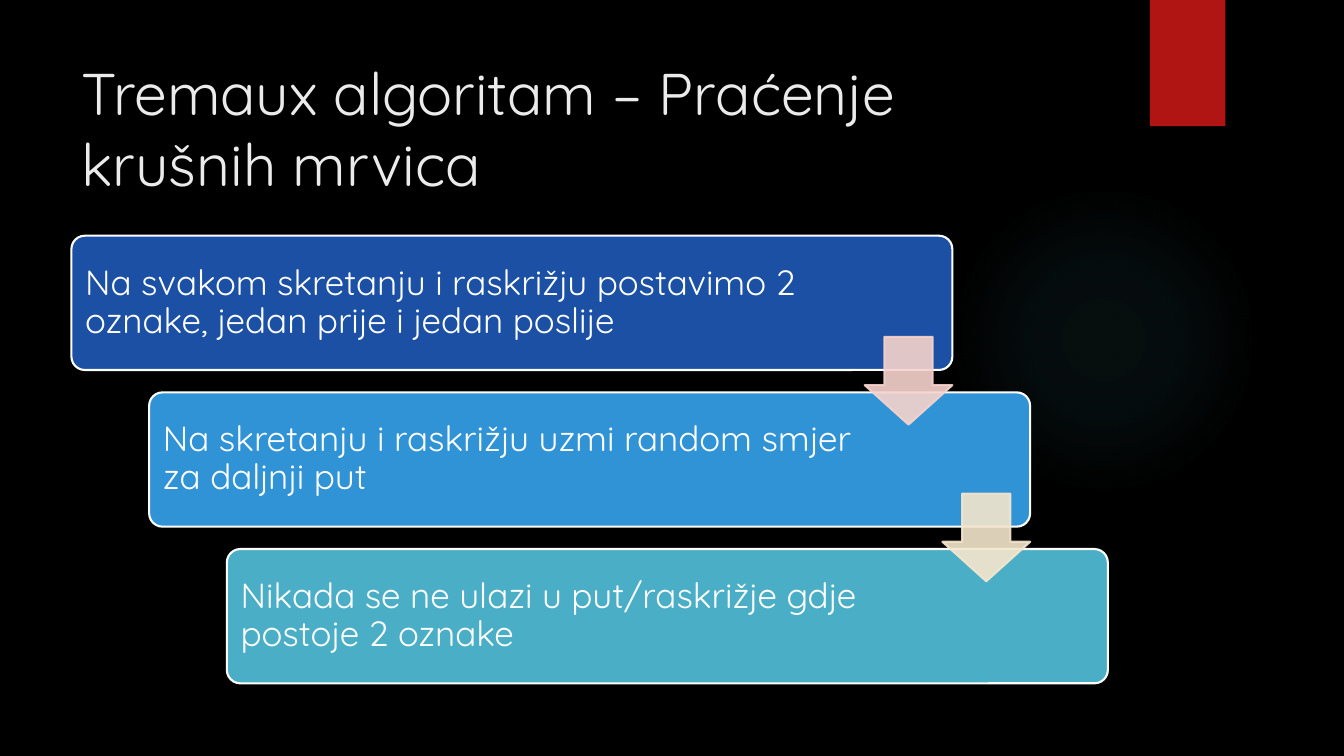
from lxml import etree
from pptx import Presentation
from pptx import util as u
from pptx.dml import color
from pptx.enum import shapes, text
from pptx.oxml import ns

FONT = "Quicksand"
KIND = shapes.MSO_SHAPE
# Wording, fill and right inset (cm) of each step
STEPS = [
    ("Na svakom skretanju i raskrižju postavimo 2 oznake, jedan prije i jedan poslije", "1B50A5", 3.68),
    ("Na skretanju i raskrižju uzmi random smjer za daljnji put", "3093D6", 4.4),
    ("Nikada se ne ulazi u put/raskrižje gdje postoje 2 oznake", "4AAEC6", 4.4),
]
ARROW_COLOURS = ["F7D3CC", "F5E6CD"]


def rgb(value):
    return color.RGBColor.from_string(value)


def add_part(page, kind, left, top, width, height, fill, line=None):
    part = page.shapes.add_shape(kind, u.Cm(left), u.Cm(top), u.Cm(width), u.Cm(height))
    part.shadow.inherit = False
    part.fill.solid()
    part.fill.fore_color.rgb = rgb(fill)
    if line:
        part.line.color.rgb = rgb(line)
        part.line.width = u.Pt(1.5)
    else:
        part.line.fill.background()
    return part


def write(frame, wording, size, colour):
    frame.word_wrap = True
    frame.vertical_anchor = text.MSO_ANCHOR.MIDDLE
    para = frame.paragraphs[0]
    para.text = wording
    para.alignment = text.PP_ALIGN.LEFT
    para.font.name = FONT
    para.font.size = u.Pt(size)
    para.font.color.rgb = rgb(colour)
    return para


def set_alpha(part, percent):
    for tone in part._element.spPr.iter(ns.qn("a:srgbClr")):
        etree.SubElement(tone, ns.qn("a:alpha"), val=str(percent * 1000))


def add_backdrop(page, left, top):
    # Faint round glow
    glow = add_part(page, KIND.OVAL, left, top + 4.65, 7.82, 7.82, "50B9C1")
    stops = "".join(
        f'<a:gs pos="{place * 1000}"><a:srgbClr val="50B9C1"><a:alpha val="{alpha * 1000}"/></a:srgbClr></a:gs>'
        for place, alpha in [(0, 7), (36, 6), (69, 0)])
    gradient = etree.fromstring(
        f'<a:gradFill {ns.nsdecls("a")}><a:gsLst>{stops}</a:gsLst><a:path path="circle">'
        '<a:fillToRect l="50000" t="50000" r="50000" b="50000"/></a:path></a:gradFill>')
    solid = glow._element.spPr.find(ns.qn("a:solidFill"))
    solid.getparent().replace(solid, gradient)
    # Red tab at the top edge
    add_part(page, KIND.RECTANGLE, left + 5.08, top, 1.9, 3.18, "B01513")


def add_title(page, left, top, width, height):
    box = page.shapes.add_textbox(u.Cm(left), u.Cm(top), u.Cm(width), u.Cm(height))
    write(box.text_frame, "Tremaux algoritam – Praćenje krušnih mrvica", 42, "EBEBEB")


def add_staircase(page, left, top, width, height):
    step_width, step_height, arrow_size = 0.85 * width, 0.3 * height, 2.21
    shift = (width - step_width) / (len(STEPS) - 1)
    drop = (height - step_height) / (len(STEPS) - 1)

    # Steps
    for index, (wording, fill, right_inset) in enumerate(STEPS):
        step = add_part(page, KIND.ROUNDED_RECTANGLE, left + index * shift, top + index * drop,
                        step_width, step_height, fill, "FFFFFF")
        step.adjustments[0] = 0.1
        step.text_frame.margin_left = u.Cm(0.25)
        step.text_frame.margin_right = u.Cm(right_inset)
        write(step.text_frame, wording, 25, "FFFFFF").line_spacing = 0.9

    # Arrows, flush with the right edge of the step above
    for index, colour in enumerate(ARROW_COLOURS):
        arrow = add_part(page, KIND.DOWN_ARROW, left + index * shift + step_width - arrow_size,
                         top + index * drop + 2.55, arrow_size, arrow_size, colour, colour)
        arrow.adjustments[0] = 0.55
        arrow.adjustments[1] = 0.45
        set_alpha(arrow, 90)


deck = Presentation()
deck.slide_width, deck.slide_height = u.Cm(33.87), u.Cm(19.05)
page = deck.slides.add_slide(deck.slide_layouts[6])
page.background.fill.solid()
page.background.fill.fore_color.rgb = rgb("000000")

add_backdrop(page, 23.9, 0)
add_title(page, 1.8, 1.27, 26, 3.89)
add_staircase(page, 1.8, 5.94, 26.12, 11.28)
deck.save("out.pptx")
